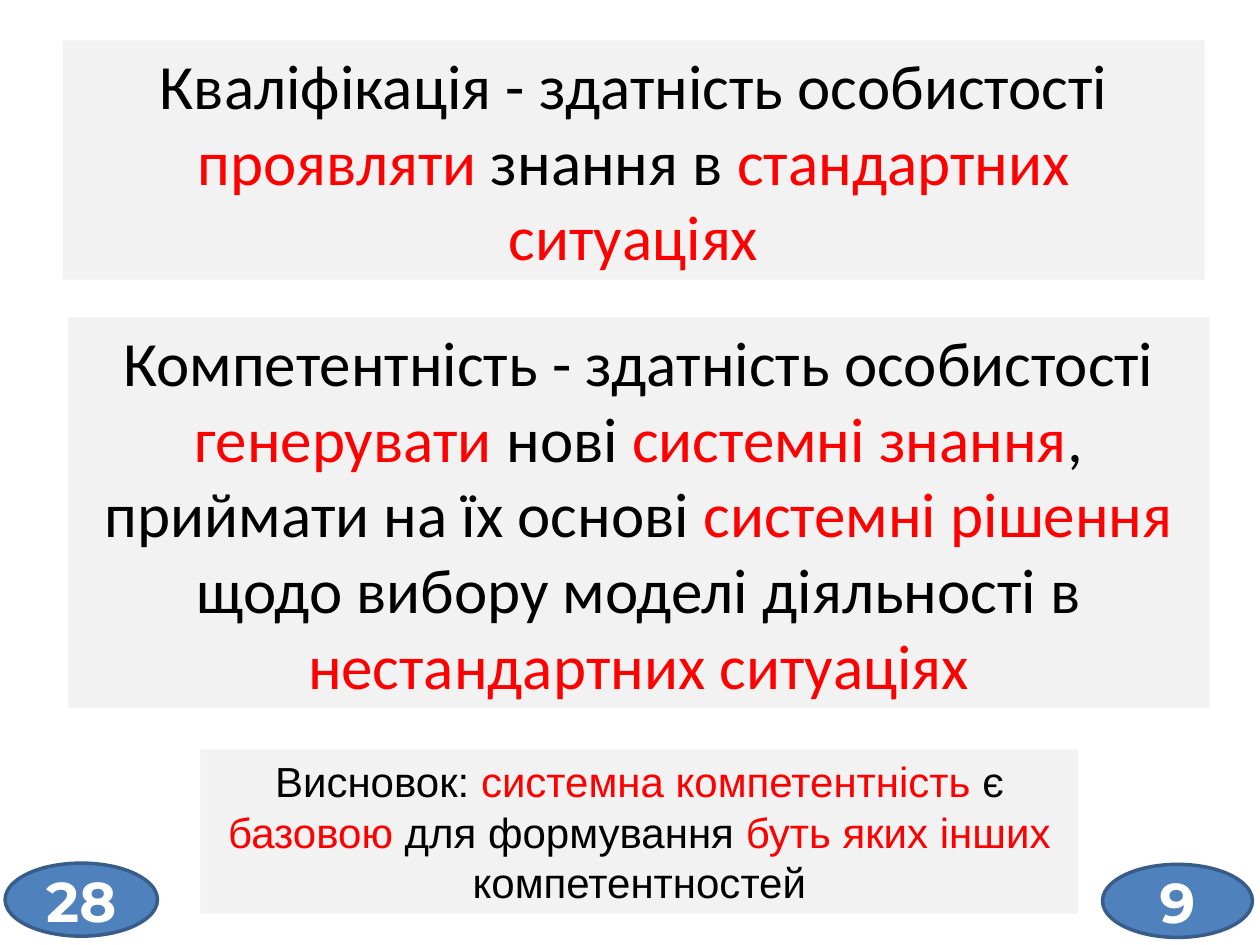
from pptx import Presentation
from pptx.dml.color import RGBColor
from pptx.enum.shapes import MSO_SHAPE
from pptx.enum.text import MSO_ANCHOR, MSO_AUTO_SIZE, PP_ALIGN
from pptx.util import Inches, Pt

BLACK = RGBColor(0x00, 0x00, 0x00)
RED = RGBColor(0xFF, 0x00, 0x00)
WHITE = RGBColor(0xFF, 0xFF, 0xFF)
PANEL = RGBColor(0xF2, 0xF2, 0xF2)
BLUE = RGBColor(0x4F, 0x81, 0xBD)
DARK_BLUE = RGBColor(0x38, 0x5D, 0x8A)

# Panels: position and size, font, text size, wording (key words between asterisks)
PANELS = [
    ((0.5, 0.32, 9.06, 1.9), "Calibri", 36,
     "Кваліфікація - здатність особистості *проявляти* знання в "
     "*стандартних ситуаціях*"),
    ((0.54, 2.52, 9.06, 3.1), "Calibri", 36,
     "Компетентність - здатність особистості *генерувати *нові "
     "*системні знання*, приймати на їх основі *системні рішення* "
     "щодо вибору моделі діяльності в *нестандартних ситуаціях*"),
    ((1.59, 5.95, 6.97, 1.3), "Arial", 24,
     "Висновок: *системна компетентність *є *базовою* для формування "
     "*буть яких інших *компетентностей"),
]

# Number badges: position and size, number
BADGES = [
    ((8.75, 6.86, 1.19, 0.58), "9"),
    ((0.04, 6.85, 1.21, 0.58), "28"),
]


def add_panel(slide, box, font, size, text):
    """Grey text panel with the key words in red."""
    sp = slide.shapes.add_textbox(*map(Inches, box))
    sp.fill.solid()
    sp.fill.fore_color.rgb = PANEL
    tf = sp.text_frame
    tf.word_wrap = True
    tf.auto_size = MSO_AUTO_SIZE.SHAPE_TO_FIT_TEXT
    p = tf.paragraphs[0]
    p.alignment = PP_ALIGN.CENTER
    p.font.name = font
    p.font.size = Pt(size)
    # Plain and key parts alternate, starting with a plain one
    for i, part in enumerate(text.split("*")):
        if part:
            r = p.add_run()
            r.text = part
            r.font.color.rgb = RED if i % 2 else BLACK


def add_badge(slide, box, number):
    """Blue ellipse with a bold white number."""
    sp = slide.shapes.add_shape(MSO_SHAPE.OVAL, *map(Inches, box))
    sp.shadow.inherit = False
    sp.fill.solid()
    sp.fill.fore_color.rgb = BLUE
    sp.line.color.rgb = DARK_BLUE
    sp.line.width = Pt(2)
    tf = sp.text_frame
    tf.vertical_anchor = MSO_ANCHOR.MIDDLE
    p = tf.paragraphs[0]
    p.text = number
    p.alignment = PP_ALIGN.CENTER
    p.font.name = "Montserrat"
    p.font.size = Pt(32)
    p.font.bold = True
    p.font.color.rgb = WHITE


def main():
    prs = Presentation()
    prs.slide_width, prs.slide_height = Inches(10), Inches(7.5)
    slide = prs.slides.add_slide(prs.slide_layouts[6])

    for badge in BADGES:
        add_badge(slide, *badge)
    for panel in PANELS:
        add_panel(slide, *panel)

    prs.save("out.pptx")


if __name__ == "__main__":
    main()
